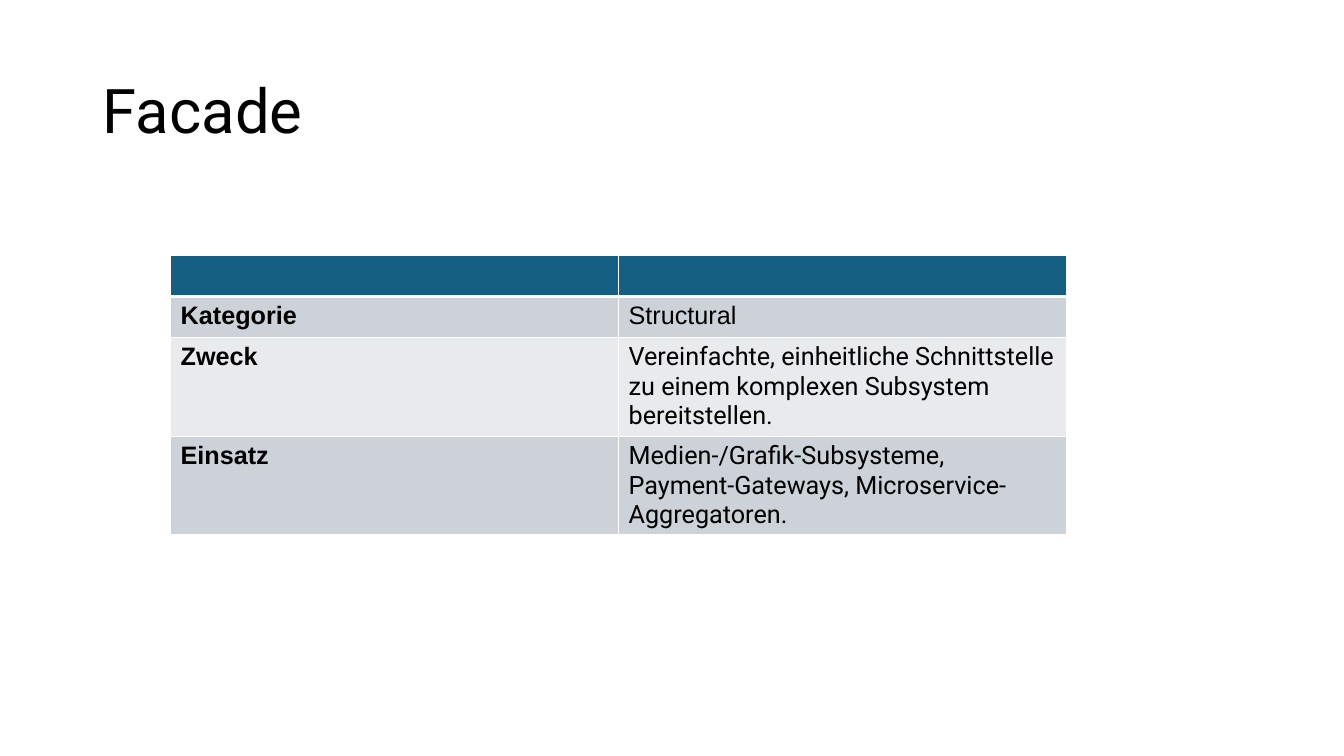
from dataclasses import dataclass

from lxml import etree
from pptx import Presentation
from pptx.dml.color import RGBColor
from pptx.enum import text
from pptx.oxml import ns
from pptx.util import Cm, Pt


@dataclass(frozen=True)
class Theme:
    ink: str = "000000"
    header: str = "156082"
    bands: tuple = ("CCD2D8", "E8EAED")
    border: str = "FFFFFF"
    label_font: str = "Arial"
    text_font: str = "Roboto"
    title_size: int = 44
    body_size: int = 18
    thin: int = 1
    thick: int = 3


THEME = Theme()
FACTS = [
    ("Kategorie", "Structural", THEME.label_font),
    ("Zweck", "Vereinfachte, einheitliche Schnittstelle zu einem komplexen "
              "Subsystem bereitstellen.", THEME.text_font),
    ("Einsatz", "Medien-/Grafik-Subsysteme, Payment-Gateways, "
                "Microservice-Aggregatoren.", THEME.text_font),
]
ROW_HEIGHTS = [Cm(1.03), Cm(1.03), Cm(2.49), Cm(2.49)]
COLUMN_WIDTH = Cm(11.29)


def format_runs(paragraph, font_name, size, bold=False):
    for run in paragraph.runs:
        run.font.name = font_name
        run.font.size = Pt(size)
        run.font.bold = bold
        run.font.color.rgb = RGBColor.from_string(THEME.ink)


def set_title(slide, wording):
    title = slide.shapes.title
    title.left, title.top = Cm(2.34), Cm(1.01)
    title.width, title.height = Cm(29.21), Cm(3.68)
    frame = title.text_frame
    frame.text = wording
    frame.word_wrap = True
    frame.vertical_anchor = text.MSO_ANCHOR.MIDDLE
    heading = frame.paragraphs[0]
    heading.alignment = text.PP_ALIGN.LEFT
    heading.line_spacing = 0.9
    format_runs(heading, THEME.text_font, THEME.title_size)


def set_borders(cell, top, bottom):
    """Draw all four cell borders; top and bottom are widths in points."""
    properties = cell._tc.get_or_add_tcPr()
    widths = {"L": THEME.thin, "R": THEME.thin, "T": top, "B": bottom}
    for position, (side, width) in enumerate(widths.items()):
        line = etree.Element(ns.qn(f"a:ln{side}"), w=str(Pt(width)))
        fill = etree.SubElement(line, ns.qn("a:solidFill"))
        etree.SubElement(fill, ns.qn("a:srgbClr"), val=THEME.border)
        properties.insert(position, line)


def fill_cell(cell, colour):
    cell.fill.solid()
    cell.fill.fore_color.rgb = RGBColor.from_string(colour)


def write_cell(cell, wording, font_name, bold):
    cell.text_frame.text = wording
    format_runs(cell.text_frame.paragraphs[0], font_name, THEME.body_size, bold)


def add_fact_table(slide):
    facts_table = slide.shapes.add_table(
        len(ROW_HEIGHTS), 2, Cm(4.3), Cm(6.44),
        2 * COLUMN_WIDTH, sum(ROW_HEIGHTS)).table
    for column in facts_table.columns:
        column.width = COLUMN_WIDTH
    for index, (row, height) in enumerate(zip(facts_table.rows, ROW_HEIGHTS)):
        row.height = height
        colour = THEME.bands[(index - 1) % 2] if index else THEME.header
        for cell in row.cells:
            fill_cell(cell, colour)
            set_borders(cell,
                        top=THEME.thick if index == 1 else THEME.thin,
                        bottom=THEME.thick if index == 0 else THEME.thin)
    for index, (label, description, font_name) in enumerate(FACTS, start=1):
        write_cell(facts_table.cell(index, 0), label, THEME.label_font, True)
        write_cell(facts_table.cell(index, 1), description, font_name, False)


def main():
    deck = Presentation()
    deck.slide_width, deck.slide_height = Cm(33.87), Cm(19.05)
    slide = deck.slides.add_slide(deck.slide_layouts[5])
    set_title(slide, "Facade")
    add_fact_table(slide)
    deck.save("out.pptx")


if __name__ == "__main__":
    main()
